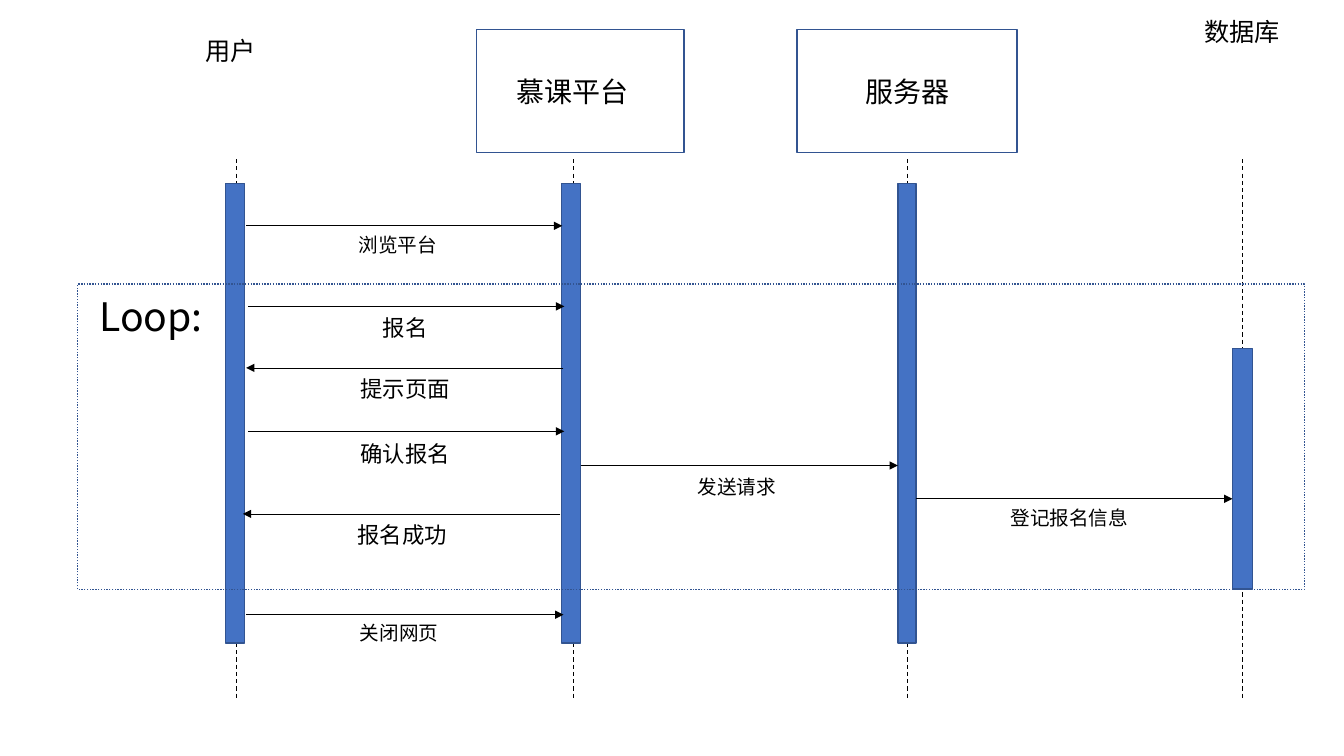
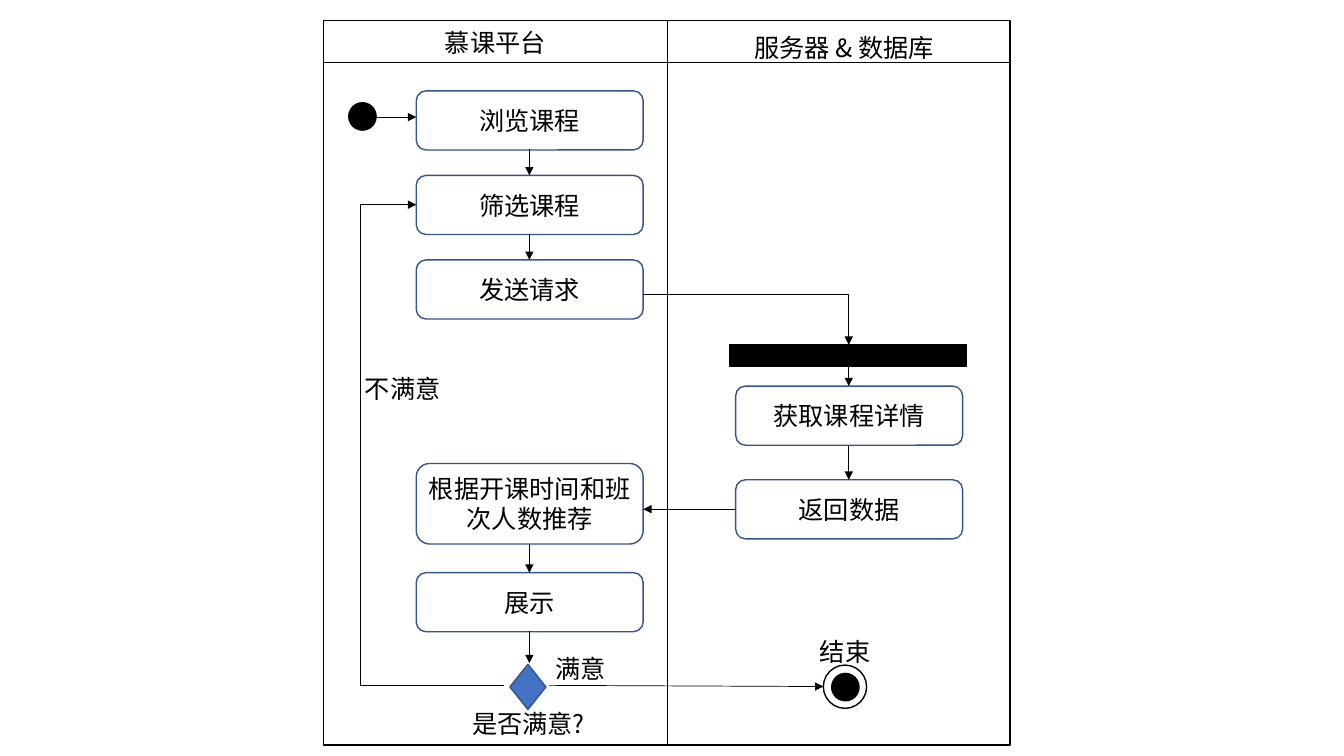
from pptx import Presentation
from pptx.dml.color import RGBColor
from pptx.enum.dml import MSO_LINE
from pptx.enum.shapes import MSO_CONNECTOR, MSO_SHAPE
from pptx.enum.text import MSO_ANCHOR, PP_ALIGN
from pptx.oxml.ns import qn
from pptx.util import Cm, Pt
from lxml import etree

RECT, ROUND = MSO_SHAPE.RECTANGLE, MSO_SHAPE.ROUNDED_RECTANGLE
OVAL, DIAMOND = MSO_SHAPE.OVAL, MSO_SHAPE.DIAMOND
STRAIGHT, ELBOW = MSO_CONNECTOR.STRAIGHT, MSO_CONNECTOR.ELBOW
DASH, DOT = MSO_LINE.DASH, MSO_LINE.ROUND_DOT
CENTER, LEFT = PP_ALIGN.CENTER, PP_ALIGN.LEFT
MIDDLE = MSO_ANCHOR.MIDDLE

FONT = "Noto Sans CJK SC"
BLACK, WHITE, BLUE, NAVY = "000000", "FFFFFF", "4472C4", "325491"
BOX_W, BOX_H = 5.72, 1.49
LEFT_X, RIGHT_X = 10.49, 18.54
LEFT_MID, RIGHT_MID = 13.34, 21.39


def rgb(value):
    return RGBColor.from_string(value)


def write(tf, text, size=18, align=CENTER, wrap=True):
    tf.word_wrap = wrap
    p = tf.paragraphs[0]
    p.alignment = align
    r = p.add_run()
    r.text = text
    r.font.size = Pt(size)
    r.font.name = FONT
    r.font.color.rgb = rgb(BLACK)
    etree.SubElement(r.font._element, qn("a:ea")).set("typeface", FONT)


def label(s, text, x, y, w, h=1.02, **fmt):
    sp = s.shapes.add_textbox(Cm(x), Cm(y), Cm(w), Cm(h))
    write(sp.text_frame, text, **fmt)


def shape(s, kind, x, y, w, h, fill=None, line=NAVY, dash=None):
    sp = s.shapes.add_shape(kind, Cm(x), Cm(y), Cm(w), Cm(h))
    sp.shadow.inherit = False
    if fill:
        sp.fill.solid()
        sp.fill.fore_color.rgb = rgb(fill)
    else:
        sp.fill.background()
    sp.line.color.rgb = rgb(line)
    sp.line.width = Pt(1)
    if dash:
        sp.line.dash_style = dash
    return sp


def box(s, text, x, y, w=BOX_W, h=BOX_H, kind=ROUND, size=18, right=0.1):
    sp = shape(s, kind, x, y, w, h)
    tf = sp.text_frame
    tf.margin_left, tf.margin_right = Cm(0.1), Cm(right)
    tf.margin_top = tf.margin_bottom = 0
    tf.vertical_anchor = MIDDLE
    write(tf, text, size=size)


def line(s, x1, y1, x2, y2, width=0.5, dash=None, arrow=False, kind=STRAIGHT):
    sp = s.shapes.add_connector(kind, Cm(x1), Cm(y1), Cm(x2), Cm(y2))
    sp.line.color.rgb = rgb(BLACK)
    sp.line.width = Pt(width)
    if dash:
        sp.line.dash_style = dash
    spPr = sp._element.spPr
    if arrow:
        etree.SubElement(spPr.find(qn("a:ln")), qn("a:tailEnd")).set("type", "triangle")
    etree.SubElement(spPr, qn("a:effectLst"))
    return sp


def arrow(s, x1, y1, x2, y2):
    line(s, x1, y1, x2, y2, arrow=True)


def elbow(s, x1, y1, x2, y2, preset, bend=None):
    sp = line(s, x1, y1, x2, y2, arrow=True, kind=ELBOW)
    geom = sp._element.spPr.find(qn("a:prstGeom"))
    geom.set("prst", preset)
    if bend is not None:
        gd = etree.SubElement(geom.find(qn("a:avLst")), qn("a:gd"))
        gd.set("name", "adj1")
        gd.set("fmla", f"val {round(bend * 100000)}")


def message(s, text, size, x1, x2, y, label_x, label_y):
    arrow(s, x1, y, x2, y)
    label(s, text, label_x, label_y, 6.86, 0.9, size=size)


def sequence_slide(s):
    lifelines = [
        (5.97, 5.69, 4.62, 0.48, 11.58),
        (14.45, 14.15, 4.62, 0.48, 11.58),
        (22.86, 22.63, 4.62, 0.46, 11.58),
        (31.32, 31.06, 8.79, 0.51, 6.05),
    ]
    for x, bar_x, bar_y, bar_w, bar_h in lifelines:
        line(s, x, 4.01, x, 17.6, width=0.75, dash=DASH)
        shape(s, RECT, bar_x, bar_y, bar_w, bar_h, fill=BLUE)

    label(s, "用户", 4.93, 0.76, 1.8, align=LEFT, wrap=False)
    box(s, "慕课平台", 12.01, 0.74, 5.23, 3.1, kind=RECT, size=20, right=0.48)
    box(s, "服务器", 20.09, 0.74, 5.54, 3.1, kind=RECT, size=20)
    label(s, "数据库", 30.1, 0.28, 2.44, align=LEFT, wrap=False)

    shape(s, RECT, 1.96, 7.16, 30.91, 7.7, dash=DOT)
    label(s, "Loop:", 0.38, 7.24, 6.86, 1.45, size=28)

    messages = [
        ("浏览平台", 14, 6.2, 14.17, 5.69, 6.6, 5.74),
        ("报名", 16, 6.25, 14.22, 7.72, 6.78, 7.8),
        ("提示页面", 16, 14.2, 6.2, 9.27, 6.78, 9.32),
        ("确认报名", 16, 6.25, 14.22, 10.87, 6.78, 10.97),
        ("发送请求", 14, 14.63, 22.63, 11.73, 15.14, 11.84),
        ("登记报名信息", 14, 23.09, 31.06, 12.57, 23.52, 12.62),
        ("报名成功", 16, 14.12, 6.12, 12.95, 6.71, 13),
        ("关闭网页", 14, 6.2, 14.2, 15.49, 6.63, 15.52),
    ]
    for item in messages:
        message(s, *item)


def activity_slide(s):
    shape(s, RECT, 8.15, 0.51, 17.3, 18.26, fill=WHITE, line=BLACK)
    line(s, 16.81, 0.51, 16.81, 18.75)
    line(s, 8.15, 1.57, 25.45, 1.57)
    label(s, "慕课平台", 10.49, 0.56, 3.99)
    label(s, "服务器 & 数据库", 17.75, 0.69, 7.06)

    for i, text in enumerate(["浏览课程", "筛选课程", "发送请求"]):
        box(s, text, LEFT_X, 2.29 + 2.13 * i)
    box(s, "获取课程详情", RIGHT_X, 9.73)
    box(s, "返回数据", RIGHT_X, 12.09)
    box(s, "根据开课时间和班次人数推荐", LEFT_X, 11.68, h=2.03)
    box(s, "展示", LEFT_X, 14.43)

    shape(s, OVAL, 8.79, 2.59, 0.69, 0.69, fill=BLACK, line=BLACK)
    shape(s, RECT, 18.39, 8.69, 5.97, 0.53, fill=BLACK, line=BLACK)
    shape(s, DIAMOND, 12.85, 16.74, 0.91, 1.14, fill=BLUE)
    shape(s, OVAL, 20.96, 16.97, 0.69, 0.69, fill=BLACK, line=BLACK)
    shape(s, OVAL, 20.75, 16.76, 1.09, 1.09, line=BLACK)

    down = [
        (LEFT_MID, 3.76, 4.42),
        (LEFT_MID, 5.89, 6.55),
        (LEFT_MID, 13.72, 14.43),
        (LEFT_MID, 15.9, 16.71),
        (RIGHT_MID, 9.22, 9.73),
        (RIGHT_MID, 11.23, 12.09),
    ]
    for x, top, bottom in down:
        arrow(s, x, top, x, bottom)
    arrow(s, 9.47, 2.95, LEFT_X, 2.95)
    arrow(s, RIGHT_X, 12.83, LEFT_X + BOX_W, 12.83)
    arrow(s, 13.84, 17.27, 20.75, 17.3)
    elbow(s, LEFT_X + BOX_W, 7.42, RIGHT_MID, 8.69, "bentConnector2")
    elbow(s, 12.7, 17.27, LEFT_X, 5.16, "bentConnector3", bend=1.64)

    branches = [
        ("是否满意?", 11.3, 17.73),
        ("结束", 19.28, 15.9),
        ("不满意", 8.13, 9.27),
        ("满意", 12.62, 16.33),
    ]
    for text, x, y in branches:
        label(s, text, x, y, 4.04)


def main():
    prs = Presentation()
    prs.slide_width, prs.slide_height = Cm(33.87), Cm(19.05)
    blank = prs.slide_layouts[6]
    for build in (sequence_slide, activity_slide):
        build(prs.slides.add_slide(blank))
    prs.save("out.pptx")


main()
